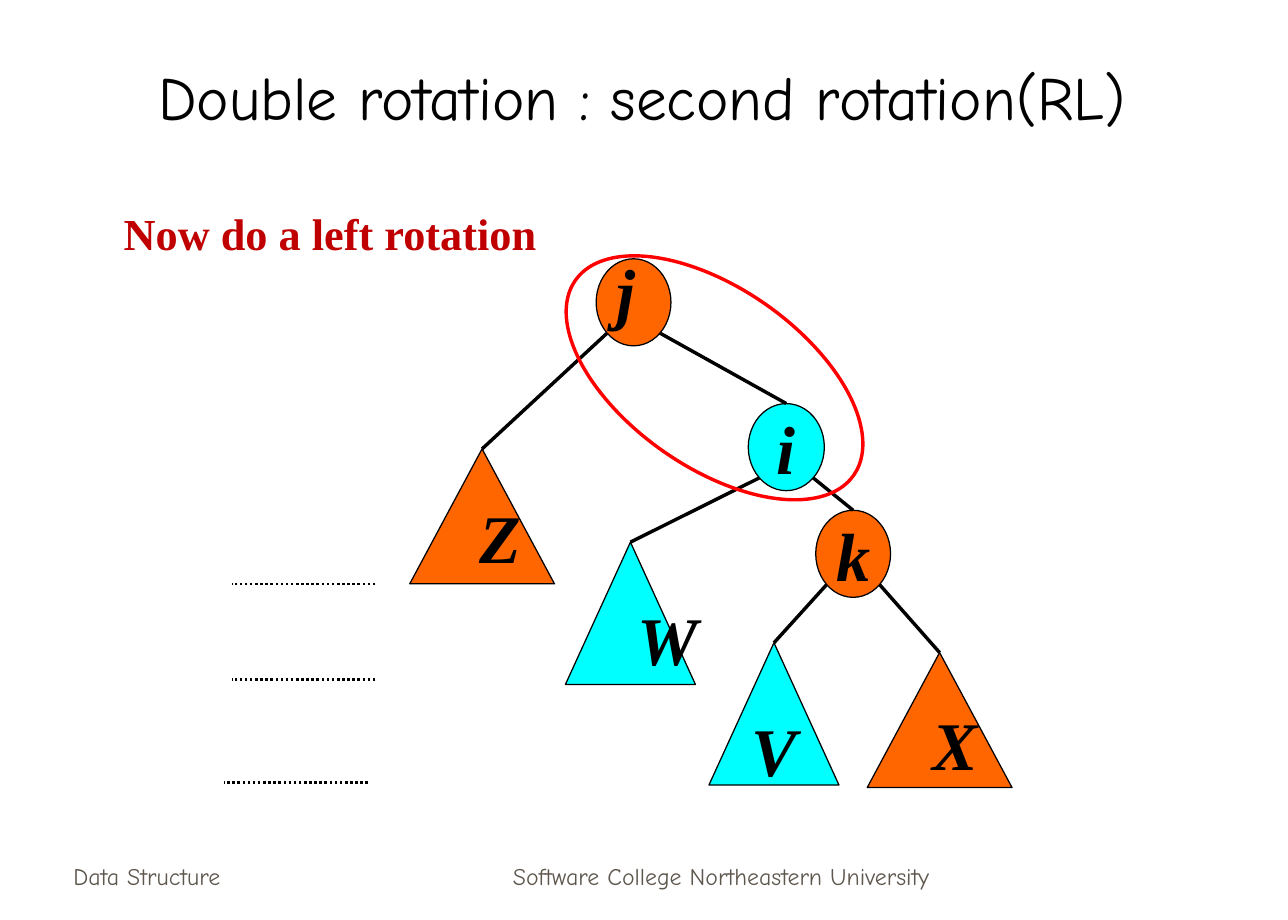
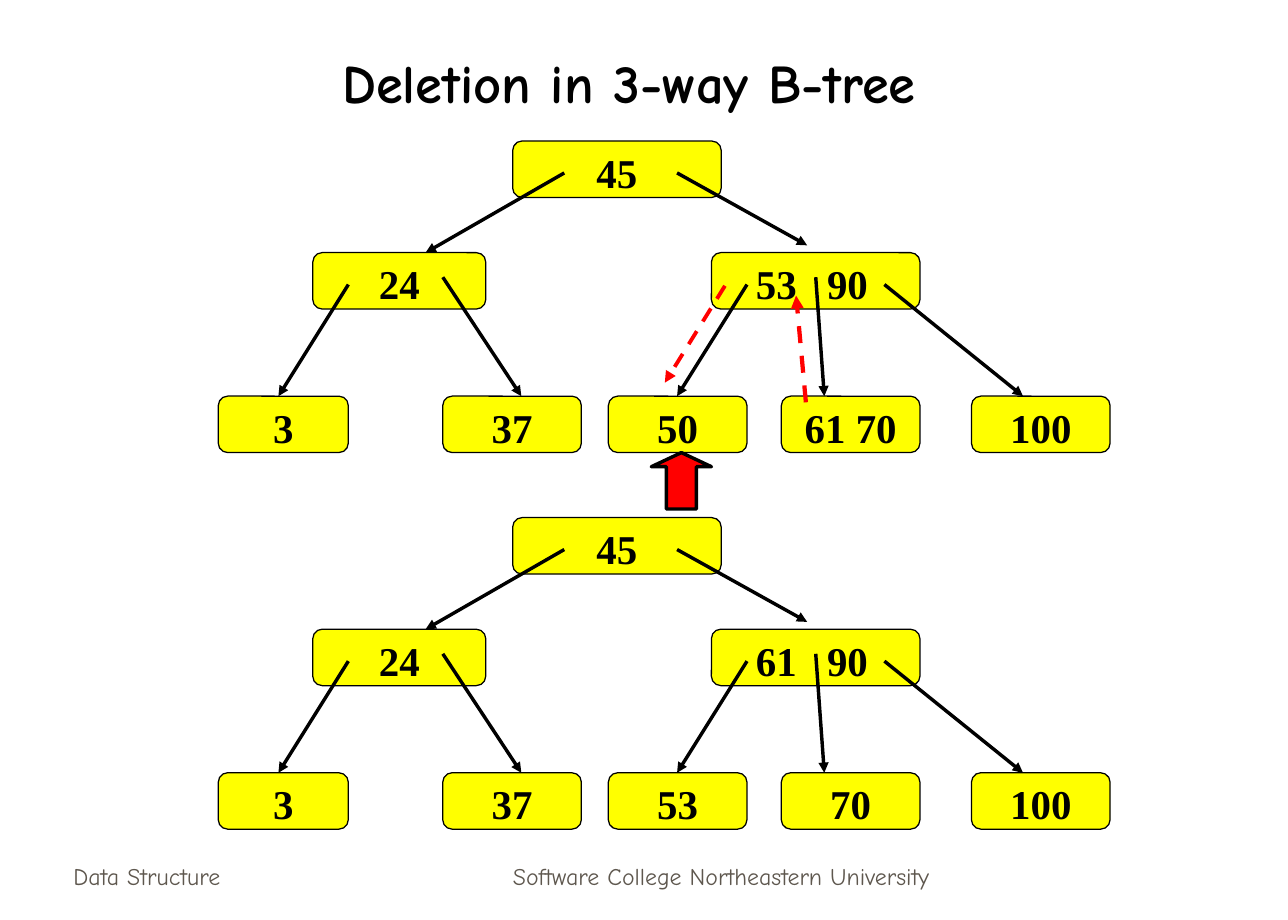
from dataclasses import dataclass
from math import sqrt
from typing import Optional

from lxml import etree
from pptx import Presentation
from pptx import util as u
from pptx.dml.color import RGBColor
from pptx.enum import dml, shapes, text
from pptx.oxml import ns

SLIDE_WIDTH, SLIDE_HEIGHT = u.Inches(10.5), u.Inches(7.5)
COLUMNS, ROWS = 105, 75

BLACK = RGBColor(0x00, 0x00, 0x00)
ORANGE = RGBColor(0xFF, 0x66, 0x00)
CYAN = RGBColor(0x00, 0xFF, 0xFF)
YELLOW = RGBColor(0xFF, 0xFF, 0x00)
RED = RGBColor(0xFF, 0x00, 0x00)
DARK_RED = RGBColor(0xC0, 0x00, 0x00)
FOOTER_GREY = RGBColor(0x5E, 0x57, 0x4E)

HEADING_FONT, DIAGRAM_FONT = "Comic Neue", "Times New Roman"
KEY_HEIGHT = 4.6
KEY_MARGIN_TOP = 0.9
LEFT, CENTER = text.PP_ALIGN.LEFT, text.PP_ALIGN.CENTER
TOP, MIDDLE, BOTTOM = (text.MSO_ANCHOR.TOP, text.MSO_ANCHOR.MIDDLE,
                       text.MSO_ANCHOR.BOTTOM)
OVAL = shapes.MSO_SHAPE.OVAL
TRIANGLE = shapes.MSO_SHAPE.ISOSCELES_TRIANGLE
DASH, DOTS = dml.MSO_LINE.DASH, dml.MSO_LINE.ROUND_DOT


@dataclass(frozen=True)
class Box:
    column: float
    row: float
    width: float
    height: float


@dataclass(frozen=True)
class Style:
    size: float
    color: RGBColor = BLACK
    font: str = DIAGRAM_FONT
    bold: bool = True
    italic: bool = False
    align: text.PP_ALIGN = CENTER
    anchor: text.MSO_ANCHOR = MIDDLE
    wrap: bool = False


@dataclass(frozen=True)
class TreeNode:
    kind: shapes.MSO_SHAPE
    box: Box
    color: RGBColor
    label: str = ""


@dataclass(frozen=True)
class Label:
    wording: str
    column: float
    row: float


@dataclass(frozen=True)
class Line:
    start: tuple[float, float]
    end: tuple[float, float]
    color: RGBColor = BLACK
    weight: float = 2
    dash: Optional[dml.MSO_LINE] = None
    arrow: bool = False


@dataclass(frozen=True)
class KeyBox:
    column: float
    row: float
    width: float


NODE_STYLE = Style(40, italic=True)
LABEL_STYLE = Style(40, italic=True, align=LEFT, anchor=TOP, wrap=True)
NOTE_STYLE = Style(26, DARK_RED, align=LEFT, anchor=TOP)
KEY_STYLE = Style(24)
KEY_PAIR_STYLE = Style(24, align=LEFT, wrap=True)
ROTATION_TITLE = Style(36, font=HEADING_FONT, bold=False, anchor=BOTTOM, wrap=True)
DELETION_TITLE = Style(32, font=HEADING_FONT, wrap=True)

FOOTERS = (
    ("Data Structure", Box(5, 68.1, 21.9, 5), LEFT),
    ("Software College Northeastern University", Box(35.9, 68.1, 45.8, 5), CENTER),
)

ROTATION_NODES = {
    "j": TreeNode(OVAL, Box(48.6, 21.1, 6.1, 7.1), ORANGE),
    "i": TreeNode(OVAL, Box(61, 32.9, 6.2, 7.1), CYAN, "i"),
    "k": TreeNode(OVAL, Box(66.5, 41.6, 6.1, 7.1), ORANGE, "k"),
    "Z": TreeNode(TRIANGLE, Box(33.4, 36.6, 11.8, 11), ORANGE),
    "W": TreeNode(TRIANGLE, Box(46.1, 44.2, 10.6, 11.6), CYAN),
    "V": TreeNode(TRIANGLE, Box(57.8, 52.4, 10.6, 11.6), CYAN, "V"),
    "X": TreeNode(TRIANGLE, Box(70.7, 53.2, 11.8, 11), ORANGE),
}
ROTATION_CHILDREN = {"j": ("Z", "i"), "i": ("W", "k"), "k": ("V", "X")}
ROTATION_LABELS = (
    Label("j", 49.3, 19.8), Label("Z", 38.1, 39.9),
    Label("W", 51, 48.2), Label("X", 75, 56.8),
)
LEVEL_MARKS = ((18.9, 47.6), (18.9, 55.4), (18.3, 63.8))
LEVEL_MARK_WIDTH = 11.7

KEY_BOXES = (
    KeyBox(41.8, 0, 17), KeyBox(25.5, 9.1, 14.1), KeyBox(58, 9.1, 17),
    KeyBox(17.8, 20.8, 10.6), KeyBox(36.1, 20.8, 11.3),
    KeyBox(49.6, 20.8, 11.3), KeyBox(63.7, 20.8, 11.3),
    KeyBox(79.2, 20.8, 11.3),
)
KEY_POINTERS = (
    ((46, 2.6), (34.7, 9.1)), ((55.2, 2.6), (65.8, 8.5)),
    ((28.4, 11.7), (22.7, 20.8)), ((36.1, 11.1), (42.5, 20.8)),
    ((60.9, 11.7), (55.2, 20.8)), ((66.5, 11.1), (67.2, 20.8)),
    ((72.1, 11.7), (83.4, 20.8)),
)
TREES = (
    (11.5, ("45", "24", ("53", "90"), "3", "37", "50", "61 70", "100")),
    (42.2, ("45", "24", ("61", "90"), "3", "37", "53", "70", "100")),
)
KEY_MOVES = (
    Line((59.1, 23.3), (54.2, 31.2), RED, 2.25, DASH, True),
    Line((65.7, 32.8), (64.9, 24.1), RED, 2.5, DASH, True),
)


def across(columns: float) -> u.Emu:
    return u.Emu(round(SLIDE_WIDTH * columns / COLUMNS))


def down(rows: float) -> u.Emu:
    return u.Emu(round(SLIDE_HEIGHT * rows / ROWS))


def placement(box: Box) -> tuple:
    return across(box.column), down(box.row), across(box.width), down(box.height)


def write(shape, wording: str, style: Style, tab: float = 0) -> None:
    frame = shape.text_frame
    frame.auto_size = text.MSO_AUTO_SIZE.NONE
    frame.word_wrap = style.wrap
    frame.vertical_anchor = style.anchor
    frame.text = wording
    paragraph = frame.paragraphs[0]
    paragraph.alignment = style.align
    if tab:
        properties = paragraph._p.get_or_add_pPr()
        stops = etree.SubElement(properties, ns.qn("a:tabLst"))
        etree.SubElement(stops, ns.qn("a:tab"), pos=str(across(tab)), algn="l")
    for run in paragraph.runs:
        run.font.name = style.font
        run.font.size = u.Pt(style.size)
        run.font.bold = style.bold
        run.font.italic = style.italic
        run.font.color.rgb = style.color


def add_text(slide, wording: str, box: Box, style: Style) -> None:
    write(slide.shapes.add_textbox(*placement(box)), wording, style)


def add_figure(slide, kind: shapes.MSO_SHAPE, box: Box, fill: Optional[RGBColor],
               outline: RGBColor = BLACK, weight: float = 0.75):
    shape = slide.shapes.add_shape(kind, *placement(box))
    shape.shadow.inherit = False
    if fill is None:
        shape.fill.background()
    else:
        shape.fill.solid()
        shape.fill.fore_color.rgb = fill
    shape.line.color.rgb = outline
    shape.line.width = u.Pt(weight)
    return shape


def add_line(slide, line: Line) -> None:
    connector = slide.shapes.add_connector(
        shapes.MSO_CONNECTOR.STRAIGHT,
        across(line.start[0]), down(line.start[1]),
        across(line.end[0]), down(line.end[1]))
    connector.line.color.rgb = line.color
    connector.line.width = u.Pt(line.weight)
    if line.dash is not None:
        connector.line.dash_style = line.dash
    if line.arrow:
        etree.SubElement(connector.line._get_or_add_ln(), ns.qn("a:tailEnd"),
                         type="triangle")
    etree.SubElement(connector._element.spPr, ns.qn("a:effectLst"))


def add_slide(presentation, title: str, box: Box, style: Style):
    slide = presentation.slides.add_slide(presentation.slide_layouts[5])
    heading = slide.shapes.title
    heading.left, heading.top, heading.width, heading.height = placement(box)
    write(heading, title, style)
    for wording, footer_box, align in FOOTERS:
        add_text(slide, wording, footer_box,
                 Style(14, FOOTER_GREY, HEADING_FONT, False, False, align, BOTTOM, True))
    return slide


def branch(parent: Box, child: Box, side: int) -> Line:
    reach = 1 / sqrt(2)
    start = (parent.column + parent.width / 2 * (1 + side * reach),
             parent.row + parent.height / 2 * (1 + reach))
    return Line(start, (child.column + child.width / 2, child.row))


def add_rotation_slide(presentation) -> None:
    slide = add_slide(presentation, "Double rotation : second rotation(RL)",
                      Box(7.5, 2.5, 89.7, 8.8), ROTATION_TITLE)
    for node in ROTATION_NODES.values():
        shape = add_figure(slide, node.kind, node.box, node.color)
        if node.label:
            write(shape, node.label, NODE_STYLE)
    for parent, children in ROTATION_CHILDREN.items():
        for child, side in zip(children, (-1, 1)):
            add_line(slide, branch(ROTATION_NODES[parent].box,
                                   ROTATION_NODES[child].box, side))
    for label in ROTATION_LABELS:
        add_text(slide, label.wording, Box(label.column, label.row, 3.7, 7.7), LABEL_STYLE)
    for column, row in LEVEL_MARKS:
        add_line(slide, Line((column + LEVEL_MARK_WIDTH, row), (column, row),
                             weight=1.5, dash=DOTS))
    add_figure(slide, OVAL, Box(44.4, 23.5, 27.7, 14.6), None, RED, 2).rotation = 35
    add_text(slide, "Now do a left rotation", Box(9.1, 16.3, 35.7, 5.4), NOTE_STYLE)


def add_key_box(slide, key_box: KeyBox, tree_row: float, keys: str | tuple) -> None:
    shape = add_figure(
        slide, shapes.MSO_SHAPE.ROUNDED_RECTANGLE,
        Box(key_box.column, tree_row + key_box.row, key_box.width, KEY_HEIGHT), YELLOW)
    shape.text_frame.margin_top = down(KEY_MARGIN_TOP)
    if isinstance(keys, tuple):
        shape.text_frame.margin_left = across(3.4)
        write(shape, "\t".join(keys), KEY_PAIR_STYLE, tab=5.8)
    else:
        write(shape, keys, KEY_STYLE)


def add_deletion_slide(presentation) -> None:
    slide = add_slide(presentation, "Deletion in 3-way B-tree",
                      Box(7.5, 3.5, 87.6, 6.3), DELETION_TITLE)
    for tree_row, tree_keys in TREES:
        for key_box, keys in zip(KEY_BOXES, tree_keys):
            add_key_box(slide, key_box, tree_row, keys)
        for start, end in KEY_POINTERS:
            add_line(slide, Line((start[0], tree_row + start[1]),
                                 (end[0], tree_row + end[1]), arrow=True))
    arrow = add_figure(slide, shapes.MSO_SHAPE.UP_ARROW,
                       Box(53.1, 36.9, 4.9, 4.6), RED, weight=2)
    arrow.adjustments[0], arrow.adjustments[1] = 0.5, 0.25
    for move in KEY_MOVES:
        add_line(slide, move)


def main() -> None:
    presentation = Presentation()
    presentation.slide_width, presentation.slide_height = SLIDE_WIDTH, SLIDE_HEIGHT
    add_rotation_slide(presentation)
    add_deletion_slide(presentation)
    presentation.save("out.pptx")


if __name__ == "__main__":
    main()
